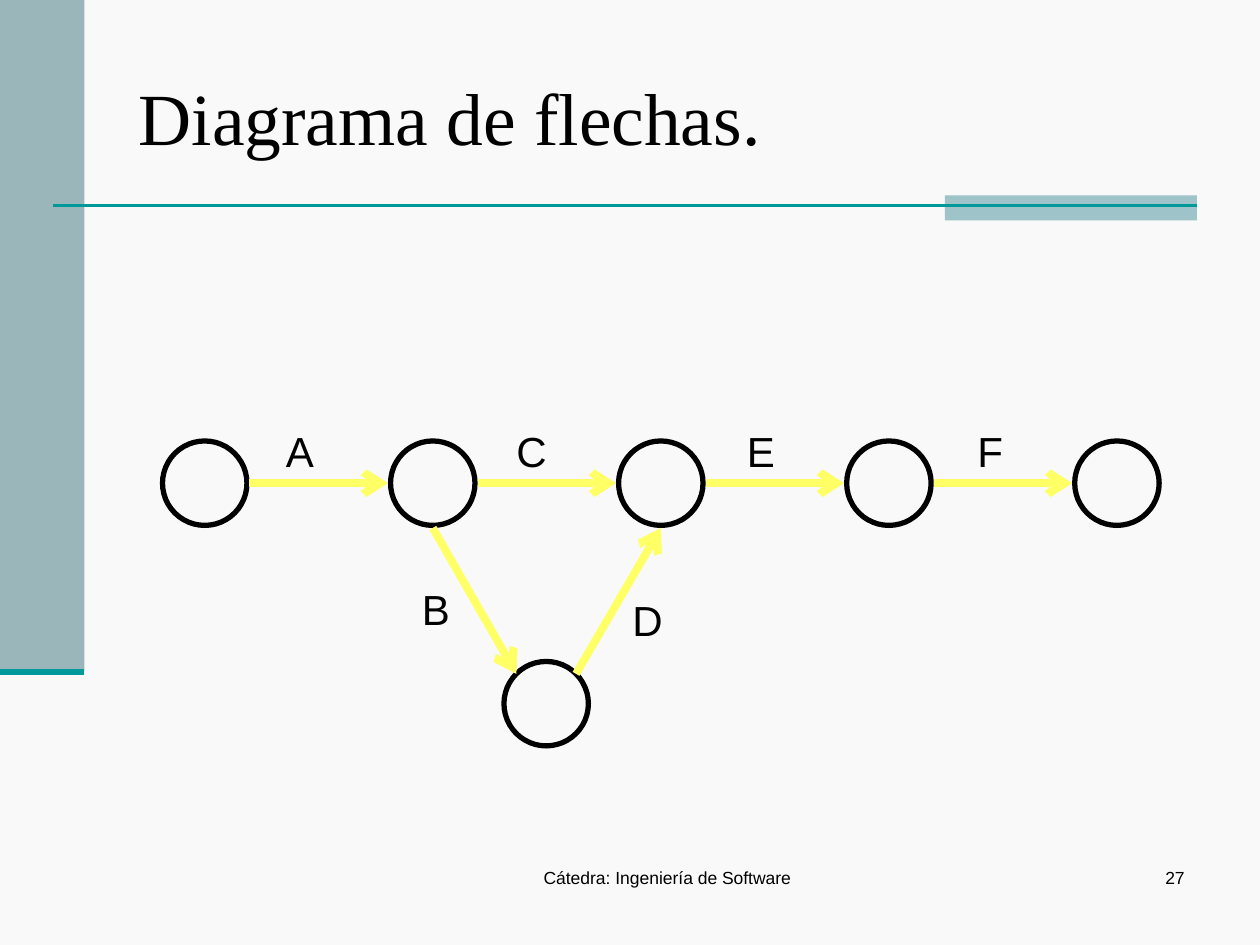
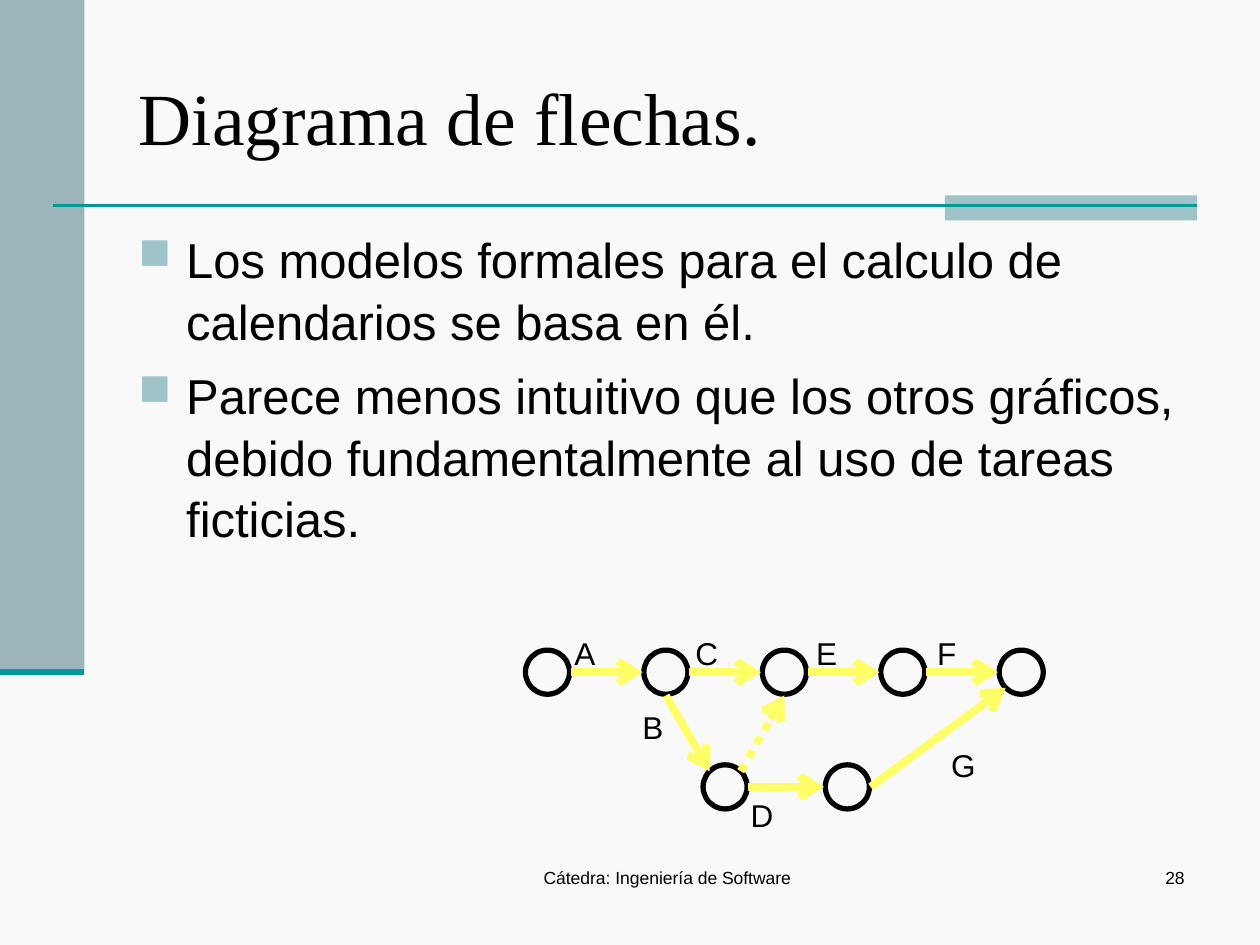
from dataclasses import dataclass
from math import sqrt

from lxml.etree import SubElement
from pptx import Presentation
from pptx.dml.color import RGBColor
from pptx.enum.dml import MSO_LINE
from pptx.enum.shapes import MSO_CONNECTOR, MSO_SHAPE
from pptx.enum.text import MSO_ANCHOR, PP_ALIGN
from pptx.oxml.ns import qn
from pptx.slide import Slide
from pptx.util import Inches, Pt

PAPER = RGBColor(0xF9, 0xF9, 0xF9)
BLACK = RGBColor(0x00, 0x00, 0x00)
SIDE_BAND = RGBColor(0x9B, 0xB6, 0xBB)
ACCENT = RGBColor(0x9E, 0xC3, 0xC8)
TEAL = RGBColor(0x00, 0x99, 0x99)
YELLOW = RGBColor(0xFF, 0xFF, 0x66)
TITLE_FONT = "Times New Roman"
BODY_FONT = "Arial"
FOOTER = "Cátedra: Ingeniería de Software"

DIAGONAL = 1 / sqrt(2)
SIDES = {
    "E": (1, 0), "W": (-1, 0), "S": (0, 1),
    "NE": (DIAGONAL, -DIAGONAL), "NW": (-DIAGONAL, -DIAGONAL), "SW": (-DIAGONAL, DIAGONAL),
}


@dataclass(frozen=True)
class Task:
    """An arrow from one node's side to another's."""
    start: int
    start_side: str
    end: int
    end_side: str
    dotted: bool = False


@dataclass(frozen=True)
class Label:
    text: str
    left: float
    top: float


@dataclass(frozen=True)
class Network:
    nodes: list[tuple[float, float]]
    diameter: float
    gap: float
    tasks: list[Task]
    labels: list[Label]
    label_size: int
    label_box: tuple[float, float]


@dataclass(frozen=True)
class Page:
    number: int
    bullets: list[str]
    network: Network


def row(left: float, top: float, pitch: float, count: int) -> list[tuple[float, float]]:
    return [(left + i * pitch, top) for i in range(count)]


def row_labels(letters: str, left: float, top: float, pitch: float) -> list[Label]:
    return [Label(letter, left + i * pitch, top) for i, letter in enumerate(letters)]


MAIN_TASKS = [Task(i, "E", i + 1, "W") for i in range(4)]

PAGES = [
    Page(27, [], Network(
        nodes=row(1.29, 3.5, 1.81, 5) + [(4, 5.25)],
        diameter=0.67,
        gap=0.02,
        tasks=MAIN_TASKS + [Task(1, "S", 5, "NW"), Task(5, "NE", 2, "S")],
        labels=row_labels("ACEF", 2.17, 3.33, 1.83)
        + [Label("B", 3.25, 4.58), Label("D", 4.92, 4.67)],
        label_size=24,
        label_box=(0.5, 0.5),
    )),
    Page(28, [
        "Los modelos formales para el calculo de calendarios se basa en él.",
        "Parece menos intuitivo que los otros gráficos, debido fundamentalmente "
        "al uso de tareas ficticias.",
    ], Network(
        nodes=row(4.17, 5.16, 0.94, 5) + row(5.58, 6.07, 0.97, 2),
        diameter=0.35,
        gap=0.01,
        tasks=MAIN_TASKS + [
            Task(1, "S", 5, "NW"), Task(5, "E", 6, "W"),
            Task(6, "E", 4, "SW"), Task(5, "NE", 2, "S", dotted=True),
        ],
        labels=row_labels("ACEF", 4.46, 4.98, 0.96)
        + [Label("B", 5, 5.57), Label("D", 5.86, 6.27), Label("G", 7.45, 5.87)],
        label_size=18,
        label_box=(0.26, 0.4),
    )),
]


def add_line(s: Slide, start: tuple[float, float], end: tuple[float, float],
             color: RGBColor, width: float):
    line = s.shapes.add_connector(MSO_CONNECTOR.STRAIGHT, *map(Inches, start + end))
    line.line.color.rgb = color
    line.line.width = Pt(width)
    SubElement(line._element.spPr, qn("a:effectLst"))
    return line


def add_band(s: Slide, left: float, top: float, width: float, height: float,
             color: RGBColor) -> None:
    band = s.shapes.add_shape(MSO_SHAPE.RECTANGLE, *map(Inches, (left, top, width, height)))
    band.shadow.inherit = False
    band.fill.solid()
    band.fill.fore_color.rgb = color
    band.line.fill.background()


def add_text(s: Slide, box: tuple[float, float, float, float], paragraphs: list[str],
             size: int, align: PP_ALIGN = PP_ALIGN.LEFT):
    tf = s.shapes.add_textbox(*map(Inches, box)).text_frame
    tf.word_wrap = True
    tf.text = "\n".join(paragraphs)
    for p in tf.paragraphs:
        p.alignment = align
        for r in p.runs:
            r.font.name = BODY_FONT
            r.font.size = Pt(size)
            r.font.color.rgb = BLACK
    return tf


def add_title(s: Slide, text: str) -> None:
    title = s.shapes.title
    title.left, title.top, title.width, title.height = map(Inches, (1, 0.3, 8.5, 1.25))
    tf = title.text_frame
    tf.text = text
    tf.vertical_anchor = MSO_ANCHOR.MIDDLE
    p = tf.paragraphs[0]
    p.alignment = PP_ALIGN.LEFT
    font = p.runs[0].font
    font.name = TITLE_FONT
    font.size = Pt(42)
    font.color.rgb = BLACK


def add_frame(s: Slide, number: int) -> None:
    """Draw what every slide shares: background, bands, title and footer."""
    s.background.fill.solid()
    s.background.fill.fore_color.rgb = PAPER
    add_band(s, 0, 0, 0.67, 5.33, SIDE_BAND)
    add_band(s, 7.5, 1.55, 2, 0.2, ACCENT)
    add_line(s, (0.42, 1.63), (9.5, 1.63), TEAL, 1.5)
    add_line(s, (0, 5.33), (0.67, 5.33), TEAL, 3.5)
    add_title(s, "Diagrama de flechas.")
    add_text(s, (3.67, 6.83, 3.25, 0.5), [FOOTER], 10, PP_ALIGN.CENTER)
    add_text(s, (7.42, 6.83, 2.08, 0.5), [str(number)], 10, PP_ALIGN.RIGHT)


def add_bullets(s: Slide, bullets: list[str]) -> None:
    tf = add_text(s, (1, 1.75, 8.5, 4.95), bullets, 28)
    for p in tf.paragraphs:
        p.space_before = Pt(7)
        p.line_spacing = 1.05
        pPr = p._p.get_or_add_pPr()
        pPr.set("marL", str(Inches(0.38)))
        pPr.set("indent", str(-Inches(0.38)))
        SubElement(SubElement(pPr, qn("a:buClr")), qn("a:srgbClr"), val=str(ACCENT))
        SubElement(pPr, qn("a:buSzPct"), val="90000")
        SubElement(pPr, qn("a:buChar"), char="■")


def anchor(network: Network, node: int, side: str) -> tuple[float, float]:
    """Point on a node's side where an arrow starts or ends."""
    left, top = network.nodes[node]
    radius = network.diameter / 2
    dx, dy = SIDES[side]
    reach = radius + (network.gap if len(side) == 1 else 0)
    return left + radius + dx * reach, top + radius + dy * reach


def add_network(s: Slide, network: Network) -> None:
    for left, top in network.nodes:
        node = s.shapes.add_shape(MSO_SHAPE.OVAL, Inches(left), Inches(top),
                                  Inches(network.diameter), Inches(network.diameter))
        node.shadow.inherit = False
        node.fill.background()
        node.line.color.rgb = BLACK
        node.line.width = Pt(3)
    for task in network.tasks:
        arrow = add_line(s, anchor(network, task.start, task.start_side),
                         anchor(network, task.end, task.end_side), YELLOW, 4.5)
        if task.dotted:
            arrow.line.dash_style = MSO_LINE.ROUND_DOT
            arrow.line._ln.prstDash.set("val", "sysDot")
        SubElement(arrow.line._ln, qn("a:tailEnd"), type="arrow")
    for label in network.labels:
        add_text(s, (label.left, label.top, *network.label_box), [label.text],
                 network.label_size)


def main() -> None:
    prs = Presentation()
    prs.slide_width, prs.slide_height = Inches(10), Inches(7.5)
    title_only = prs.slide_layouts[5]
    for page in PAGES:
        s = prs.slides.add_slide(title_only)
        add_frame(s, page.number)
        if page.bullets:
            add_bullets(s, page.bullets)
        add_network(s, page.network)
    prs.save("out.pptx")


if __name__ == "__main__":
    main()
